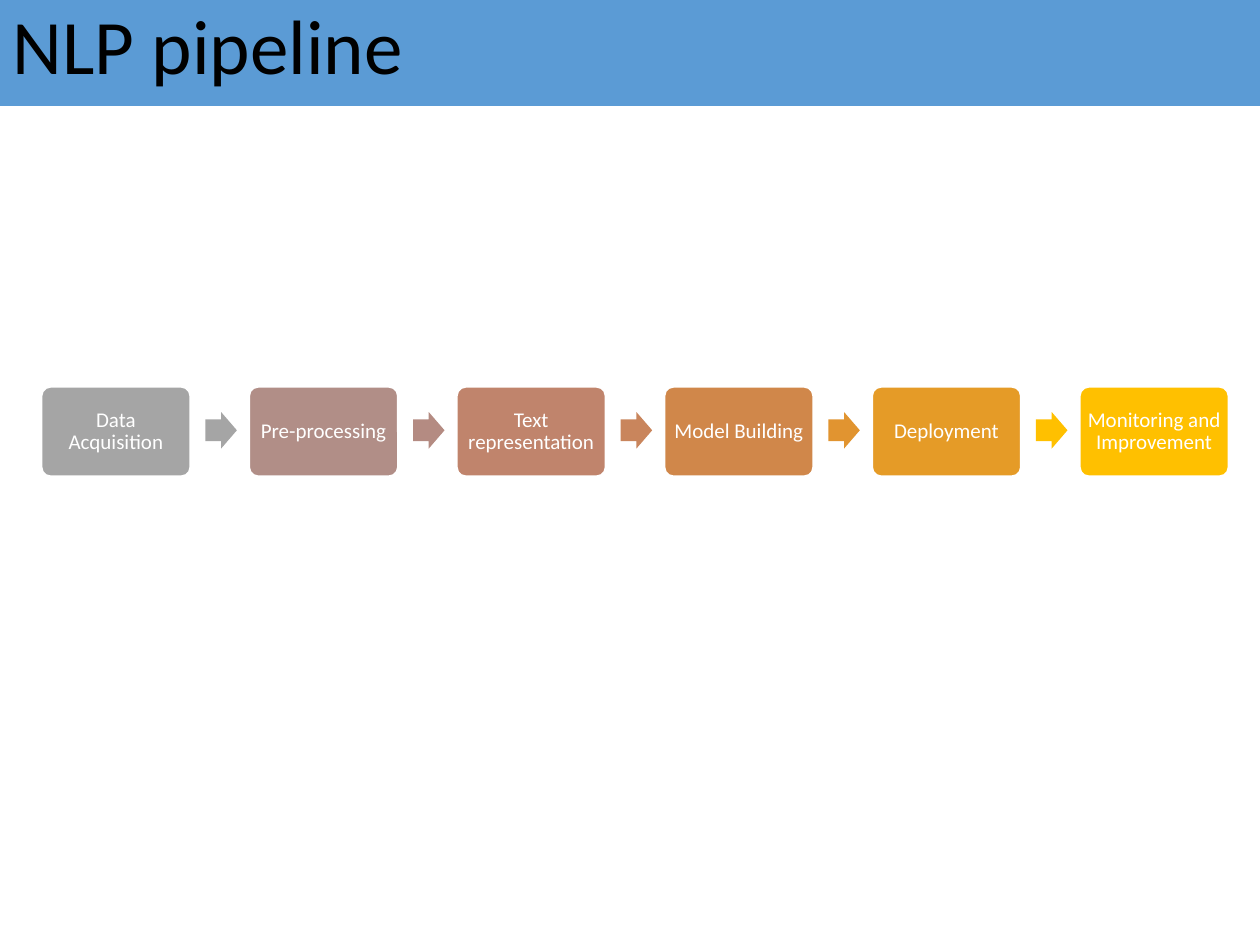
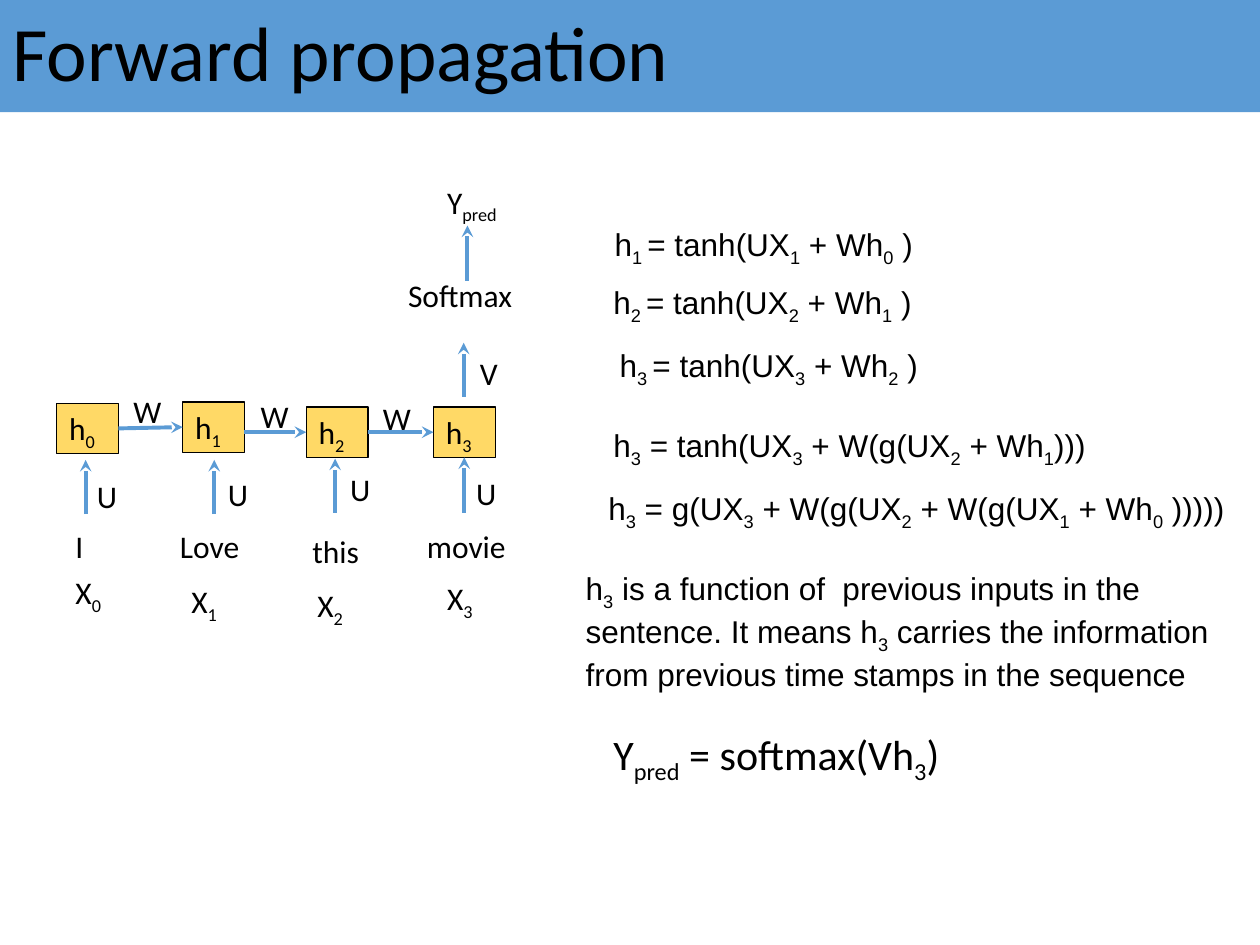
from dataclasses import dataclass
from itertools import pairwise
from typing import Optional

import lxml.etree
import pptx
import pptx.dml.color
import pptx.enum.shapes
import pptx.enum.text
import pptx.oxml.ns
import pptx.presentation
import pptx.shapes.autoshape
import pptx.shapes.connector
import pptx.slide
import pptx.text.text
import pptx.util

Inches = pptx.util.Inches
Pt = pptx.util.Pt
ShapeKind = pptx.enum.shapes.MSO_SHAPE
Anchor = pptx.enum.text.MSO_ANCHOR
Align = pptx.enum.text.PP_ALIGN
TOP, LEFT, BOTTOM, RIGHT = range(4)


@dataclass(frozen=True)
class Theme:
    blue: str = "5B9BD5"
    black: str = "000000"
    white: str = "FFFFFF"
    cell: str = "FFD966"
    font: str = "Calibri"
    formula_font: str = "Arial"
    title_size: int = 44
    step_size: int = 12
    body_size: int = 18
    result_size: int = 24
    line_width: float = 2.25
    cell_line_width: float = 0.75


THEME = Theme()


@dataclass(frozen=True)
class PipelineStep:
    name: str
    fill: str
    arrow_fill: Optional[str] = None


@dataclass(frozen=True)
class Label:
    """Text in which square brackets mark subscripts."""
    text: str
    left: float
    top: float
    width: float
    height: float = 0.4
    font: str = THEME.font
    size: int = THEME.body_size
    wrap: bool = True


@dataclass(frozen=True)
class Arrow:
    start: tuple[float, float]
    end: tuple[float, float]


@dataclass(frozen=True)
class TimeStep:
    """One column of the network: hidden state, input arrow, word and input."""
    cell: tuple[float, float]
    arrow: Arrow
    weight: Label
    word: Label
    input_at: tuple[float, float]


PIPELINE = [
    PipelineStep("Data Acquisition", "A5A5A5", "A5A5A5"),
    PipelineStep("Pre-processing", "B18E87", "B48B82"),
    PipelineStep("Text representation", "C0846C", "C9855C"),
    PipelineStep("Model Building", "D0874A", "E19430"),
    PipelineStep("Deployment", "E59B27", "FFC000"),
    PipelineStep("Monitoring and Improvement", "FFC000"),
]


def upward_arrow(x: float, bottom: float, top: float) -> Arrow:
    return Arrow((x, bottom), (x, top))


CELL_WIDTH, CELL_HEIGHT = 0.49, 0.4
TIME_STEPS = [
    TimeStep((0.45, 3.2), upward_arrow(0.68, 4.08, 3.65),
             Label("U", 0.67, 3.74, 0.32), Label("I", 0.5, 4.13, 0.26), (0.5, 4.5)),
    TimeStep((1.45, 3.19), upward_arrow(1.7, 4.08, 3.65),
             Label("U", 1.71, 3.72, 0.32), Label("Love", 1.33, 4.13, 0.75), (1.42, 4.57)),
    TimeStep((2.43, 3.23), upward_arrow(2.66, 4.07, 3.64),
             Label("U", 2.68, 3.68, 0.32), Label("this", 2.38, 4.17, 0.75), (2.42, 4.6)),
    TimeStep((3.44, 3.23), upward_arrow(3.44 + CELL_WIDTH / 2, 4.07, 3.63),
             Label("U", 3.68, 3.71, 0.32), Label("movie", 3.29, 4.13, 1.13), (3.45, 4.55)),
]

OUTPUT_ARROWS = [
    upward_arrow(3.68, 3.15, 2.72),
    upward_arrow(3.71, 2.23, 1.79),
]

NETWORK_LABELS = [
    Label("W", 0.96, 3.06, 0.32),
    Label("W", 1.97, 3.1, 0.32),
    Label("W", 2.94, 3.12, 0.32),
    Label("V", 3.71, 2.76, 0.32),
    Label("Softmax", 3.14, 2.14, 1.1),
    Label("Y[pred]", 3.45, 1.4, 0.74),
]


def formula(text: str, left: float, top: float, width: float = 2.63) -> Label:
    return Label(text, left, top, width, font=THEME.formula_font, wrap=False)


FORMULAS = [
    formula("h[1 ]= tanh(UX[1] + Wh[0] )", 4.78, 1.74),
    formula("h[2 ]= tanh(UX[2] + Wh[1] )", 4.77, 2.2),
    formula("h[3 ]= tanh(UX[3] + Wh[2] )", 4.82, 2.7),
    formula("h[3] = tanh(UX[3] + W(g(UX[2] + Wh[1])))", 4.77, 3.33, 4.08),
    formula("h[3] = g(UX[3] + W(g(UX[2] + W(g(UX[1] + Wh[0] )))))", 4.73, 3.83, 5.24),
    Label("h[3] is a function of  previous inputs in the sentence. It means h[3] carries "
          "the information from previous time stamps in the sequence",
          4.55, 4.47, 5.26, 1.01, THEME.formula_font),
    Label("Y[pred] = softmax(Vh[3])", 4.77, 5.73, 2.87, 0.5,
          size=THEME.result_size, wrap=False),
]


def rgb(colour: str) -> pptx.dml.color.RGBColor:
    return pptx.dml.color.RGBColor.from_string(colour)


def format_font(font: pptx.text.text.Font, size: int, colour: str,
                name: str = THEME.font) -> None:
    font.name = name
    font.size = Pt(size)
    font.color.rgb = rgb(colour)


def write_subscripted(paragraph: pptx.text.text._Paragraph, text: str,
                      size: int = THEME.body_size, font: str = THEME.font) -> None:
    """Write text, lowering the parts in square brackets."""
    for index, part in enumerate(text.replace("]", "[").split("[")):
        if not part:
            continue
        run = paragraph.add_run()
        run.text = part
        format_font(run.font, size, THEME.black, font)
        if index % 2:
            run._r.get_or_add_rPr().set("baseline", "-25000")


def add_titled_slide(presentation: pptx.presentation.Presentation, text: str,
                     top: float = 0) -> pptx.slide.Slide:
    slide = presentation.slides.add_slide(presentation.slide_layouts[5])
    title = slide.shapes.title
    title.left, title.top = Inches(0), Inches(top)
    title.width, title.height = Inches(10), Inches(0.89)
    title.fill.solid()
    title.fill.fore_color.rgb = rgb(THEME.blue)
    frame = title.text_frame
    frame.text = text
    frame.auto_size = pptx.enum.text.MSO_AUTO_SIZE.NONE
    frame.vertical_anchor = Anchor.MIDDLE
    paragraph = frame.paragraphs[0]
    paragraph.alignment = Align.LEFT
    paragraph.line_spacing = 0.9
    format_font(paragraph.runs[0].font, THEME.title_size, THEME.black)
    return slide


def add_filled_shape(slide: pptx.slide.Slide, kind: ShapeKind, left: float, top: float,
                     width: float, height: float, fill: str,
                     line: Optional[str] = None,
                     line_width: float = 1) -> pptx.shapes.autoshape.Shape:
    shape = slide.shapes.add_shape(kind, Inches(left), Inches(top),
                                   Inches(width), Inches(height))
    shape.shadow.inherit = False
    shape.fill.solid()
    shape.fill.fore_color.rgb = rgb(fill)
    if line:
        shape.line.color.rgb = rgb(line)
        shape.line.width = Pt(line_width)
    else:
        shape.line.fill.background()
    return shape


def add_pipeline_step(slide: pptx.slide.Slide, step: PipelineStep, left: float) -> None:
    box = add_filled_shape(slide, ShapeKind.ROUNDED_RECTANGLE, left, 3.07, 1.18, 0.71,
                           step.fill, THEME.white)
    box.adjustments[0] = 0.1
    frame = box.text_frame
    frame.text = step.name
    frame.word_wrap = True
    frame.vertical_anchor = Anchor.MIDDLE
    frame.margin_left = frame.margin_right = Inches(0.04)
    frame.margin_top = frame.margin_bottom = Inches(0.04)
    paragraph = frame.paragraphs[0]
    paragraph.alignment = Align.CENTER
    paragraph.line_spacing = 0.9
    format_font(paragraph.runs[0].font, THEME.step_size, THEME.white)
    if step.arrow_fill:
        arrow = add_filled_shape(slide, ShapeKind.RIGHT_ARROW, left + 1.3, 3.27,
                                 0.25, 0.29, step.arrow_fill)
        arrow.adjustments[0] = 0.6


def add_label(slide: pptx.slide.Slide, label: Label) -> None:
    box = slide.shapes.add_textbox(Inches(label.left), Inches(label.top),
                                   Inches(label.width), Inches(label.height))
    box.text_frame.word_wrap = label.wrap
    write_subscripted(box.text_frame.paragraphs[0], label.text, label.size, label.font)


def add_cell(slide: pptx.slide.Slide, text: str, left: float,
             top: float) -> pptx.shapes.autoshape.Shape:
    cell = add_filled_shape(slide, ShapeKind.RECTANGLE, left, top, CELL_WIDTH, CELL_HEIGHT,
                            THEME.cell, THEME.black, THEME.cell_line_width)
    cell.text_frame.word_wrap = True
    cell.text_frame.vertical_anchor = Anchor.TOP
    paragraph = cell.text_frame.paragraphs[0]
    paragraph.alignment = Align.LEFT
    write_subscripted(paragraph, text)
    return cell


def add_arrow(slide: pptx.slide.Slide, arrow: Arrow) -> pptx.shapes.connector.Connector:
    connector = slide.shapes.add_connector(
        pptx.enum.shapes.MSO_CONNECTOR.STRAIGHT,
        *(Inches(value) for value in arrow.start + arrow.end))
    connector.line.color.rgb = rgb(THEME.blue)
    connector.line.width = Pt(THEME.line_width)
    qualified = pptx.oxml.ns.qn
    line = connector.line._get_or_add_ln()
    lxml.etree.SubElement(line, qualified("a:tailEnd"), type="stealth")
    lxml.etree.SubElement(connector._element.spPr, qualified("a:effectLst"))
    return connector


def build_pipeline(presentation: pptx.presentation.Presentation) -> None:
    slide = add_titled_slide(presentation, "NLP pipeline", top=-0.05)
    first_left, last_left = 0.33, 8.57
    pitch = (last_left - first_left) / (len(PIPELINE) - 1)
    for index, step in enumerate(PIPELINE):
        add_pipeline_step(slide, step, first_left + index * pitch)


def build_forward_propagation(presentation: pptx.presentation.Presentation) -> None:
    slide = add_titled_slide(presentation, "Forward propagation")
    cells = []
    for index, step in enumerate(TIME_STEPS):
        cells.append(add_cell(slide, f"h[{index}]", *step.cell))
        input_arrow = add_arrow(slide, step.arrow)
        add_label(slide, step.weight)
        add_label(slide, step.word)
        add_label(slide, Label(f"X[{index}]", *step.input_at, 0.49))
    input_arrow.end_connect(cells[-1], BOTTOM)

    for index, (source, target) in enumerate(pairwise(cells)):
        left, top = TIME_STEPS[index].cell
        next_left, next_top = TIME_STEPS[index + 1].cell
        height = next_top + CELL_HEIGHT / 2
        link = add_arrow(slide, Arrow((left + CELL_WIDTH, height), (next_left, height)))
        if abs(next_top - top) < 0.02:
            link.begin_connect(source, RIGHT)
        link.end_connect(target, LEFT)

    for arrow in OUTPUT_ARROWS:
        add_arrow(slide, arrow)
    for label in NETWORK_LABELS + FORMULAS:
        add_label(slide, label)


def main() -> None:
    presentation = pptx.Presentation()
    presentation.slide_width = Inches(10)
    presentation.slide_height = Inches(7.5)
    build_pipeline(presentation)
    build_forward_propagation(presentation)
    presentation.save("out.pptx")


if __name__ == "__main__":
    main()
